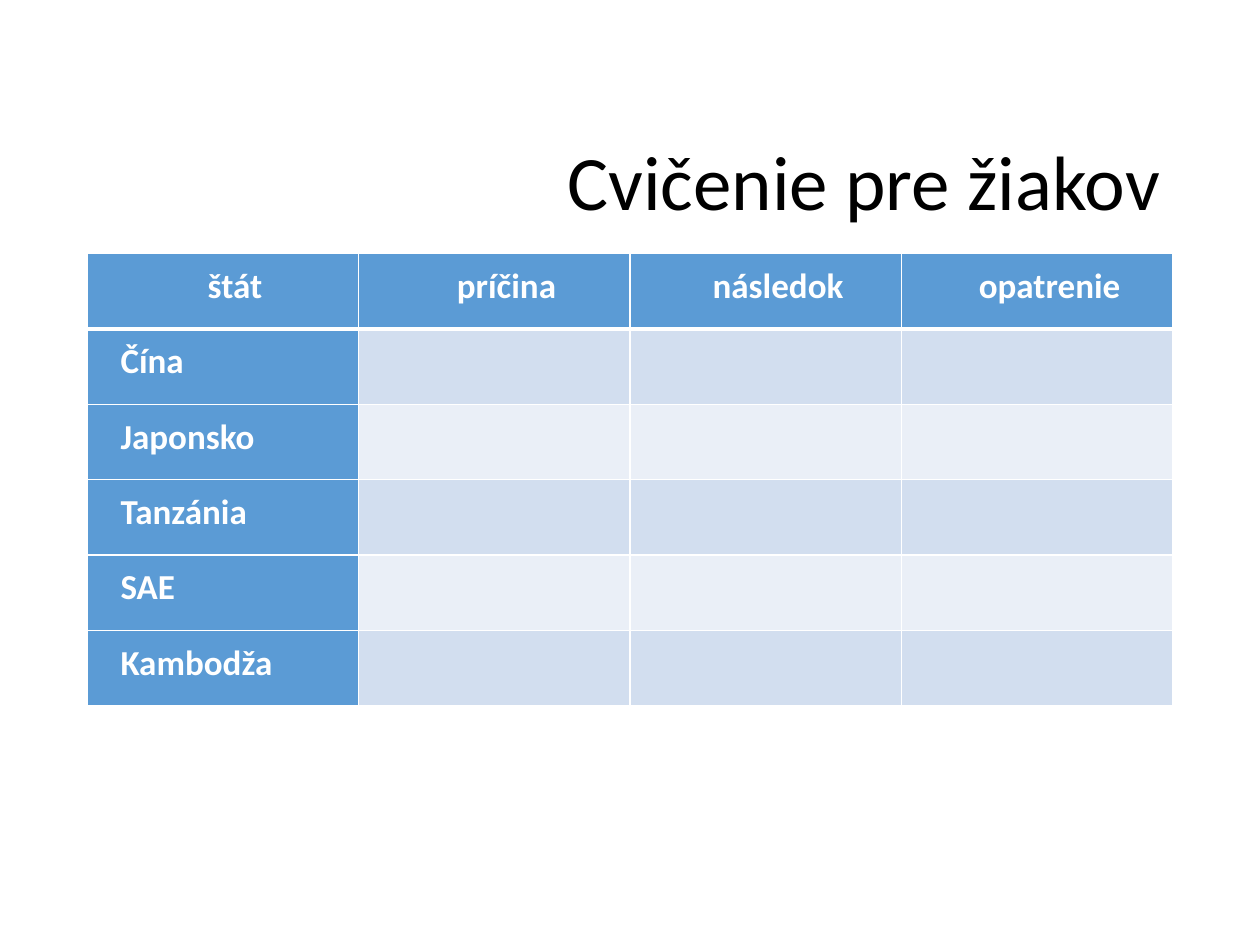
"""Build the exercise slide: a title above a table for pupils to fill in."""
from dataclasses import dataclass

import pptx
import pptx.dml.color
import pptx.enum.text
import pptx.oxml
import pptx.oxml.ns
import pptx.util

Cm = pptx.util.Cm
Pt = pptx.util.Pt
ALIGN = pptx.enum.text.PP_ALIGN
ANCHOR = pptx.enum.text.MSO_ANCHOR

HEADINGS = ["štát", "príčina", "následok", "opatrenie"]
STATES = ["Čína", "Japonsko", "Tanzánia", "SAE", "Kambodža"]
ACCENT, WHITE, BLACK = "5B9BD5", "FFFFFF", "000000"
BANDS = ["D2DEEF", "EAEFF7"]
LEFT, WIDTH = Cm(1.75), Cm(21.9)
ROW_HEIGHT = Cm(1.52)


@dataclass
class CellSpec:
    text: str
    fill: str
    align: ALIGN = ALIGN.JUSTIFY
    bottom_line: float = 1


def rgb(value: str) -> pptx.dml.color.RGBColor:
    return pptx.dml.color.RGBColor.from_string(value)


def write(frame, text: str, *, size: float, color: str, align: ALIGN,
          bold: bool = False, spacing: float = 1.0, indent: int = 0) -> None:
    paragraph = frame.paragraphs[0]
    paragraph.alignment = align
    paragraph.line_spacing = spacing
    if indent:
        paragraph._p.get_or_add_pPr().set("indent", str(indent))
    run = paragraph.add_run()
    run.text = text
    run.font.name = "Calibri"
    run.font.size = Pt(size)
    run.font.bold = bold
    run.font.color.rgb = rgb(color)


def add_border(cell, side: str, width: float) -> None:
    cell._tc.get_or_add_tcPr().append(pptx.oxml.parse_xml(
        f'<a:ln{side} {pptx.oxml.ns.nsdecls("a")} w="{Pt(width)}">'
        f'<a:solidFill><a:srgbClr val="{WHITE}"/></a:solidFill></a:ln{side}>'))


def draw_cell(cell, spec: CellSpec, top_line: float) -> None:
    for side, width in zip("LRTB", (1, 1, top_line, spec.bottom_line)):
        add_border(cell, side, width)
    cell.fill.solid()
    cell.fill.fore_color.rgb = rgb(spec.fill)
    if spec.text:
        cell.margin_left = cell.margin_right = Cm(0.18)
        cell.margin_top, cell.margin_bottom = Cm(0.1), 0
        write(cell.text_frame, spec.text, size=20, color=WHITE, bold=True,
              align=spec.align, spacing=1.15, indent=Cm(0.5))


def draw_title(slide) -> None:
    title = slide.shapes.add_textbox(LEFT, Cm(1.02), WIDTH, Cm(3.68)).text_frame
    title.word_wrap = True
    title.vertical_anchor = ANCHOR.BOTTOM
    write(title, "Cvičenie pre žiakov", size=44, color=BLACK,
          align=ALIGN.RIGHT, spacing=0.9)


def draw_exercise(slide) -> None:
    grid = [[CellSpec(heading, ACCENT, ALIGN.CENTER, 3) for heading in HEADINGS]]
    for index, state in enumerate(STATES):
        answers = [CellSpec("", BANDS[index % 2]) for _ in HEADINGS[1:]]
        grid.append([CellSpec(state, ACCENT), *answers])
    exercise = slide.shapes.add_table(
        len(grid), len(HEADINGS), LEFT, Cm(5.11), WIDTH, ROW_HEIGHT * len(grid)).table
    for row_index, specs in enumerate(grid):
        exercise.rows[row_index].height = ROW_HEIGHT
        for column_index, spec in enumerate(specs):
            top_line = grid[row_index - 1][column_index].bottom_line if row_index else 1
            draw_cell(exercise.cell(row_index, column_index), spec, top_line)


def main() -> None:
    presentation = pptx.Presentation()
    presentation.slide_width, presentation.slide_height = Cm(25.4), Cm(19.05)
    slide = presentation.slides.add_slide(presentation.slide_layouts[6])
    draw_title(slide)
    draw_exercise(slide)
    presentation.save("out.pptx")


if __name__ == "__main__":
    main()
